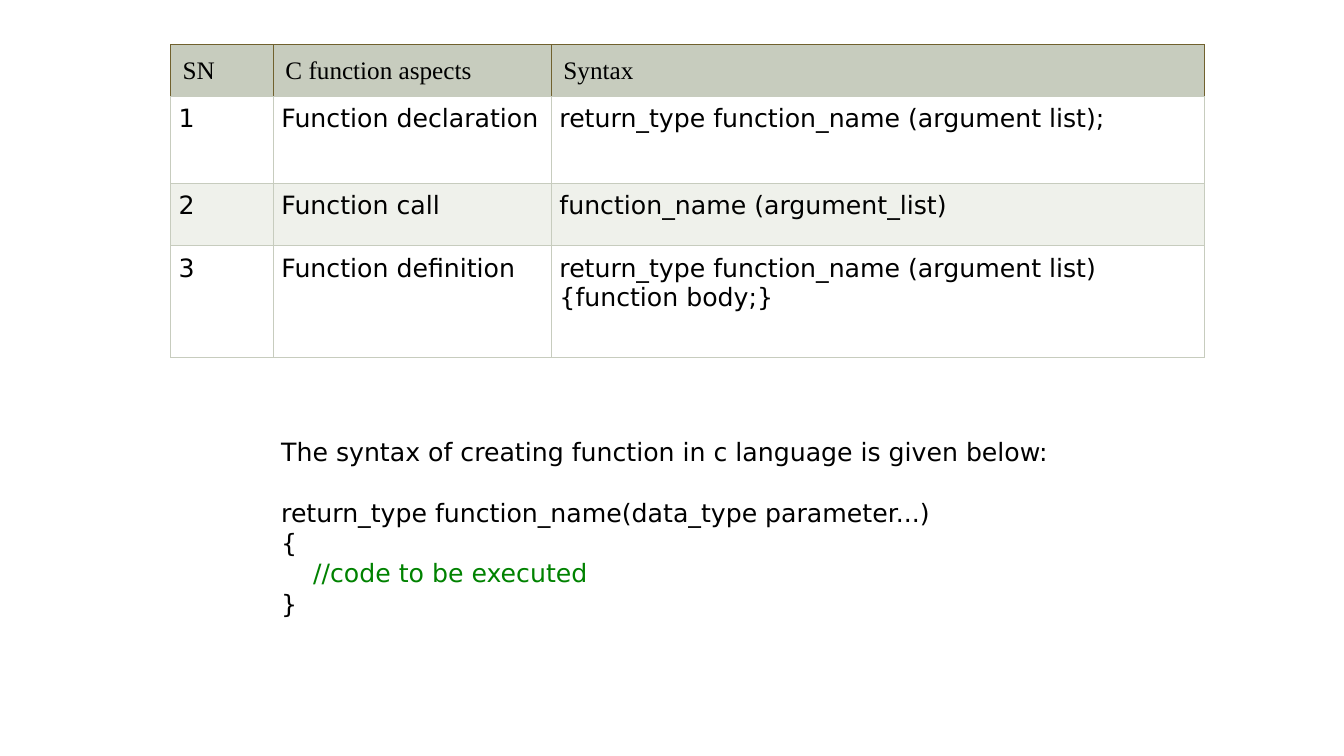
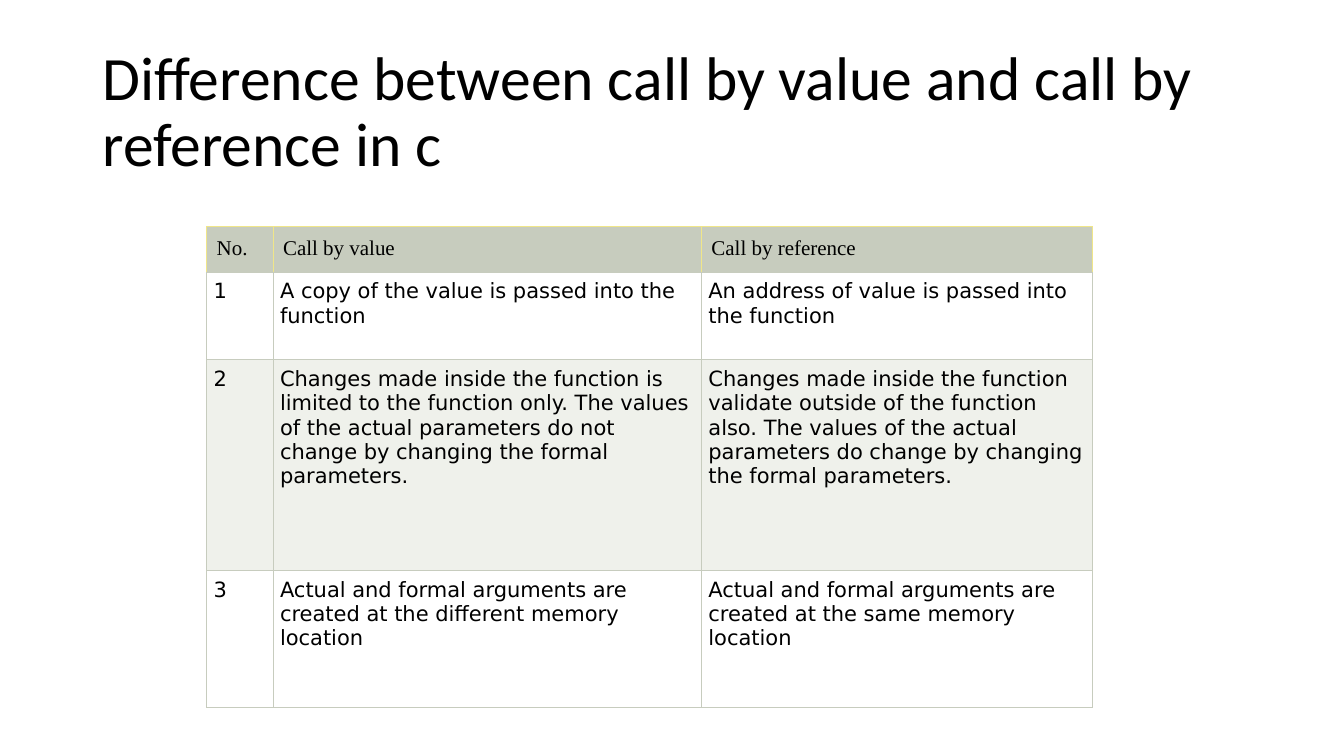
from dataclasses import dataclass
from itertools import product

from lxml import etree
from pptx import Presentation
from pptx.dml.color import RGBColor
from pptx.enum.text import MSO_ANCHOR as Anchor, PP_ALIGN as Align
from pptx.oxml.ns import qn
from pptx.util import Inches, Pt


@dataclass(frozen=True)
class Theme:
    ink: str = "000000"
    comment: str = "008200"
    header: str = "C7CCBE"
    stripes: tuple = ("FFFFFF", "EFF1EB")
    title_font: str = "Calibri"
    header_font: str = "Times New Roman"
    body_font: str = "DejaVu Sans"
    title_size: int = 44
    large: int = 18
    small: int = 15
    border: float = 0.75


theme = Theme()

# The page is a grid of 160 columns by 90 rows of square units.
COLUMNS, ROWS = 160, 90
UNIT = Inches(7.5) / ROWS


def write(frame, text, font=theme.body_font, size=theme.large, color=theme.ink,
          before=0, spacing=1.0, append=False):
    """Write one paragraph, the frame's first unless append is set."""
    para = frame.add_paragraph() if append else frame.paragraphs[0]
    para.alignment = Align.LEFT
    para.space_before = Pt(before)
    para.line_spacing = spacing
    span = para.add_run()
    span.text = text
    span.font.name = font
    span.font.size = Pt(size)
    span.font.bold = False
    span.font.color.rgb = RGBColor.from_string(color)


def add_grid_table(page, records, left, top, widths, heights, size, edge,
                   header_inset, body_inset):
    frame = page.shapes.add_table(
        len(heights), len(widths), round(left * UNIT), round(top * UNIT),
        round(sum(widths) * UNIT), round(sum(heights) * UNIT))
    table = frame.table
    table.horz_banding = False
    for column, width in zip(table.columns, widths):
        column.width = round(width * UNIT)
    for row, height in zip(table.rows, heights):
        row.height = round(height * UNIT)

    for r, c in product(range(len(heights)), range(len(widths))):
        cell = table.cell(r, c)
        is_header = r == 0
        inset = Inches(header_inset if is_header else body_inset)
        cell.margin_left = cell.margin_right = inset
        cell.margin_top = cell.margin_bottom = inset
        cell.vertical_anchor = Anchor.TOP
        properties = cell._tc.get_or_add_tcPr()
        for side in "LRTB":
            color = edge if is_header and side != "B" else theme.header
            line = etree.SubElement(properties, qn(f"a:ln{side}"), w=str(Pt(theme.border)))
            fill = etree.SubElement(line, qn("a:solidFill"))
            etree.SubElement(fill, qn("a:srgbClr"), val=color)
        cell.fill.solid()
        cell.fill.fore_color.rgb = RGBColor.from_string(
            theme.header if is_header else theme.stripes[(r - 1) % 2])
        write(cell.text_frame, records[r][c], size=size,
              font=theme.header_font if is_header else theme.body_font)


deck = Presentation()
deck.slide_width = round(COLUMNS * UNIT)
deck.slide_height = round(ROWS * UNIT)
title_only, blank = deck.slide_layouts[5], deck.slide_layouts[6]

# Function aspects and syntax
page = deck.slides.add_slide(blank)
add_grid_table(
    page,
    [("SN", "C function aspects", "Syntax"),
     ("1", "Function declaration", "return_type function_name (argument list);"),
     ("2", "Function call", "function_name (argument_list)"),
     ("3", "Function definition",
      "return_type function_name (argument list) {function body;}")],
    left=20.3, top=5.3, widths=(12.25, 33.1, 77.75), heights=(5.4, 10.3, 7.45, 13.3),
    size=theme.large, edge="70612E", header_inset=0.12, body_inset=0.08)

box = page.shapes.add_textbox(*(round(n * UNIT) for n in (32.3, 51.35, 101.3, 23)))
syntax = box.text_frame
syntax.word_wrap = True
write(syntax, "The syntax of creating function in c language is given below:")
write(syntax, "return_type function_name(data_type parameter...)", before=22, append=True)
for code, color in (("{", theme.ink),
                    ("    //code to be executed", theme.comment),
                    ("}", theme.ink)):
    write(syntax, code, color=color, append=True)

# Call by value against call by reference
page = deck.slides.add_slide(title_only)
title = page.shapes.title
title.left, title.top, title.width, title.height = (
    round(n * UNIT) for n in (11, 4.8, 138, 17.4))
title.text_frame.word_wrap = True
title.text_frame.vertical_anchor = Anchor.MIDDLE
write(title.text_frame, "Difference between call by value and call by reference in c",
      font=theme.title_font, size=theme.title_size, spacing=0.9)

add_grid_table(
    page,
    [("No.", "Call by value", "Call by reference"),
     ("1", "A copy of the value is passed into the function",
      "An address of value is passed into the function"),
     ("2", "Changes made inside the function is limited to the function only. "
           "The values of the actual parameters do not change by changing the "
           "formal parameters.",
      "Changes made inside the function validate outside of the function also. "
      "The values of the actual parameters do change by changing the formal "
      "parameters."),
     ("3", "Actual and formal arguments are created at the different memory location",
      "Actual and formal arguments are created at the same memory location")],
    left=24.6, top=27, widths=(7.9, 51, 46.55), heights=(5.4, 10.45, 25.1, 16.3),
    size=theme.small, edge="F0E689", header_inset=0.1, body_inset=0.07)

deck.save("out.pptx")
